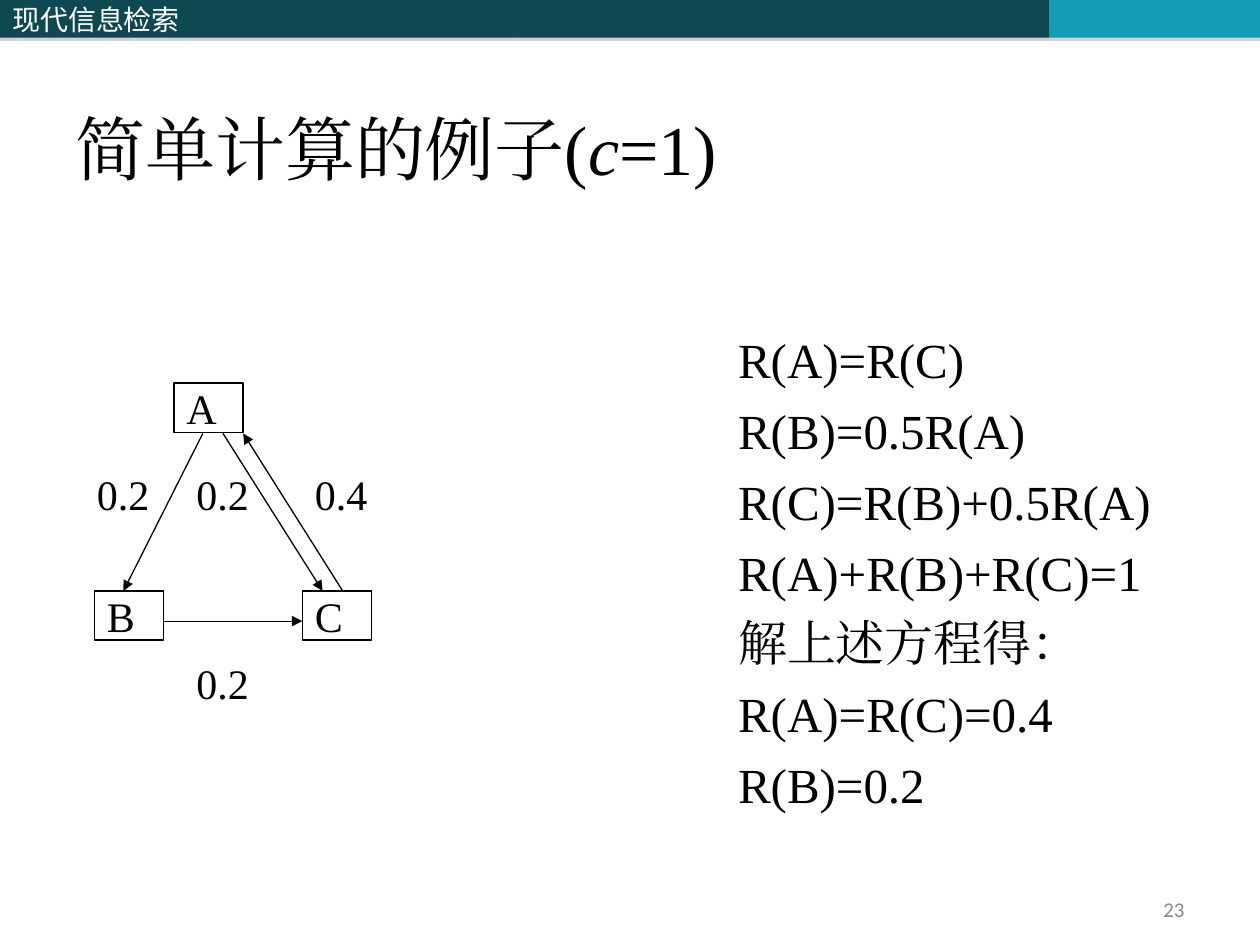
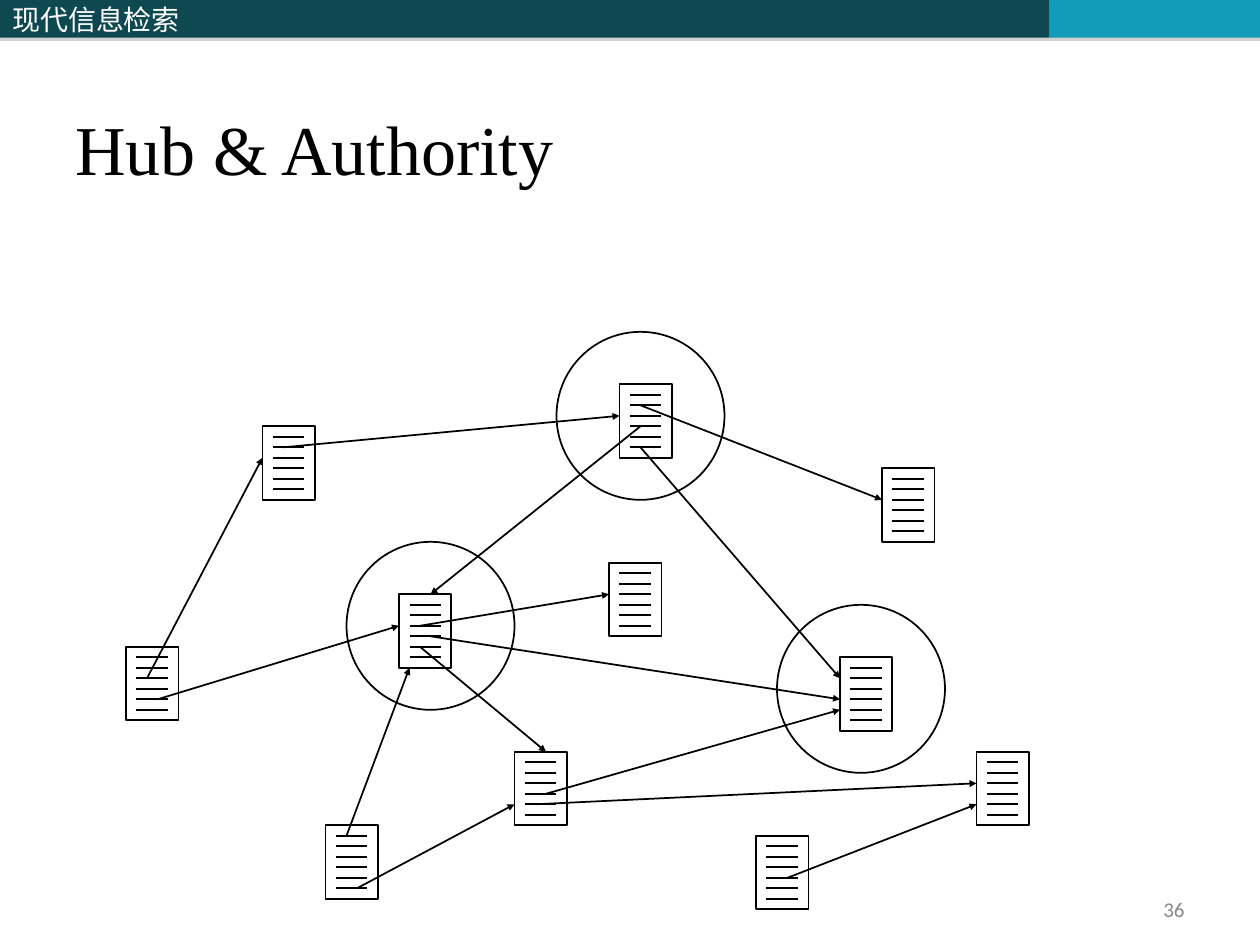
"""Build two slides on link analysis: a small rank example and a hub graph."""
import pptx
import pptx.util
import pptx.dml.color
import pptx.enum.shapes
import pptx.enum.text
import pptx.oxml
import pptx.oxml.ns

Inches = pptx.util.Inches
Pt = pptx.util.Pt
SHAPE = pptx.enum.shapes.MSO_SHAPE
ALIGN = pptx.enum.text.PP_ALIGN
ANCHOR = pptx.enum.text.MSO_ANCHOR
WIRE = pptx.enum.shapes.MSO_CONNECTOR.STRAIGHT
qn = pptx.oxml.ns.qn

HUE = {"ink": "000000", "deep": "0E4851", "sky": "139CB7",
       "white": "FFFFFF", "grey": "898989", "shade": "808080"}
RGB = {name: pptx.dml.color.RGBColor.from_string(code) for name, code in HUE.items()}
SHADE = (f'<a:effectLst {pptx.oxml.ns.nsdecls("a")}>'
         '<a:outerShdw blurRad="0" dist="22860" dir="5400000" rotWithShape="0">'
         f'<a:srgbClr val="{HUE["shade"]}"><a:alpha val="35000"/></a:srgbClr>'
         '</a:outerShdw></a:effectLst>')

SERIF = "Times New Roman"
HEAD = {"size": 16, "name": "Noto Sans CJK SC", "hue": "white"}
TITLE = {"size": 40, "name": SERIF, "hue": "ink"}
BODY = {"size": 28, "name": SERIF, "hue": "ink"}
NODE = {"size": 24, "name": SERIF, "hue": "ink"}
PAGE = {"size": 12, "name": "Calibri", "hue": "grey"}


def draw(shapes, kind, box, fill=None, line=None, rows=(), font=None,
         anchor=ANCHOR.MIDDLE, align=ALIGN.LEFT, gap=0):
    """Add a shape, or a text box when kind is None; rows hold lists of runs."""
    place = [Inches(n) for n in box]
    if kind is None:
        item = shapes.add_textbox(*place)
    else:
        item = shapes.add_shape(kind, *place)
        item.shadow.inherit = False
        if fill:
            item.fill.solid()
            item.fill.fore_color.rgb = RGB[fill]
        else:
            item.fill.background()
        if line:
            item.line.color.rgb = RGB["ink"]
            item.line.width = Pt(line)
        else:
            item.line.fill.background()
    frame = item.text_frame
    frame.word_wrap = True
    frame.vertical_anchor = anchor
    for i, row in enumerate(rows):
        para = frame.add_paragraph() if i else frame.paragraphs[0]
        para.alignment = align
        para.space_before = Pt(gap)
        for text, slant in row:
            run = para.add_run()
            run.text = text
            look = {"size": Pt(font["size"]), "name": font["name"], "italic": slant}
            for key, value in look.items():
                setattr(run.font, key, value)
            run.font.color.rgb = RGB[font["hue"]]
            east = run.font._element.makeelement(qn("a:ea"), {"typeface": font["name"]})
            run.font._element.append(east)
    return item


def link(shapes, start, end, width, head=None):
    """Add a straight line; head is the arrowhead size, if any."""
    wire = shapes.add_connector(WIRE, *[Inches(n) for n in (*start, *end)])
    wire.line.color.rgb = RGB["ink"]
    wire.line.width = Pt(width)
    if head:
        tip = {"type": "triangle", "w": head, "len": head}
        stroke = wire.line._get_or_add_ln()
        stroke.append(stroke.makeelement(qn("a:tailEnd"), tip))
    props = wire._element.spPr
    props.append(props.makeelement(qn("a:effectLst"), {}))


deck = pptx.Presentation()
deck.slide_width, deck.slide_height = Inches(10), Inches(7.5)

BANDS = [(0, 4.08, "deep", "现代信息检索"), (4.08, 4.25, "deep", ""), (8.33, 1.67, "sky", "")]
PAGES = [([("简单计算的例子(", False), ("c", True), ("=1)", False)], "23"),
         ([("Hub & Authority", False)], "36")]
boards = []
for title, page in PAGES:
    board = deck.slides.add_slide(deck.slide_layouts[6]).shapes
    for left, width, fill, text in BANDS:
        rows = [[(text, False)]] if text else []
        band = draw(board, SHAPE.RECTANGLE, (left, 0, width, 0.3), fill, rows=rows, font=HEAD)
        props = band._element.spPr
        props.remove(props.find(qn("a:effectLst")))
        props.append(pptx.oxml.parse_xml(SHADE))
    draw(board, None, (0.5, 0.3, 9, 1.25), rows=[title], font=TITLE, anchor=ANCHOR.BOTTOM)
    draw(board, None, (7.17, 7.08, 2.33, 0.27), rows=[[(page, False)]], font=PAGE,
         align=ALIGN.RIGHT)
    boards.append(board)
rank, web = boards

SUMS = ["R(A)=R(C)", "R(B)=0.5R(A)", "R(C)=R(B)+0.5R(A)", "R(A)+R(B)+R(C)=1",
        "解上述方程得：", "R(A)=R(C)=0.4", "R(B)=0.2"]
draw(rank, None, (5.76, 2.57, 4.24, 3.96), rows=[[(text, False)] for text in SUMS],
     font=BODY, anchor=ANCHOR.TOP, gap=6.8)

for name, left, top in [("A", 1.38, 3.04), ("B", 0.75, 4.69), ("C", 2.4, 4.69)]:
    draw(rank, SHAPE.RECTANGLE, (left, top, 0.55, 0.39), line=0.75,
         rows=[[(name, False)]], font=NODE)

EDGES = [((1.61, 3.44), (0.98, 4.69)), ((1.3, 4.93), (2.4, 4.93)),
         ((1.77, 3.44), (2.56, 4.69)), ((2.72, 4.69), (1.93, 3.44))]
for start, end in EDGES:
    link(rank, start, end, 0.75, "med")

FLOWS = [("0.2", 0.67, 3.67), ("0.2", 1.46, 3.67), ("0.4", 2.4, 3.67), ("0.2", 1.46, 5.17)]
for text, left, top in FLOWS:
    draw(rank, None, (left, top, 0.63, 0.5), rows=[[(text, False)]], font=NODE)

STEP, DROP = 1 / 12, 0.05
DOCS = [(12, 61), (25, 40), (58, 53), (31, 78), (38, 56), (59, 36),
        (49, 71), (84, 44), (93, 71), (80, 62), (72, 79)]
for col, row in DOCS:
    doc = web.add_group_shape().shapes
    left, top = col * STEP, row * STEP + DROP
    draw(doc, SHAPE.RECTANGLE, (left, top, 5 * STEP, 7 * STEP), line=1)
    for n in range(1, 7):
        level = top + n * STEP
        link(doc, (left + STEP, level), (left + 4 * STEP, level), 1)

LINKS = [(14, 64, 25, 43), (27, 42, 59, 39), (61, 40, 41, 56), (15, 66, 38, 59),
         (40, 61, 52, 71), (34, 84, 49, 76), (40, 59, 58, 56), (33, 79, 39, 63),
         (41, 60, 80, 66), (52, 75, 80, 67), (61, 42, 80, 64), (61, 38, 84, 47),
         (51, 76, 93, 74), (75, 83, 93, 76)]
for ax, ay, bx, by in LINKS:
    link(web, (ax * STEP, ay * STEP + DROP), (bx * STEP, by * STEP + DROP), 1, "sm")

for col, row in [(74, 57), (53, 31), (33, 51)]:
    draw(web, SHAPE.OVAL, (col * STEP, row * STEP + DROP, 16 * STEP, 16 * STEP), line=1)

deck.save("out.pptx")
